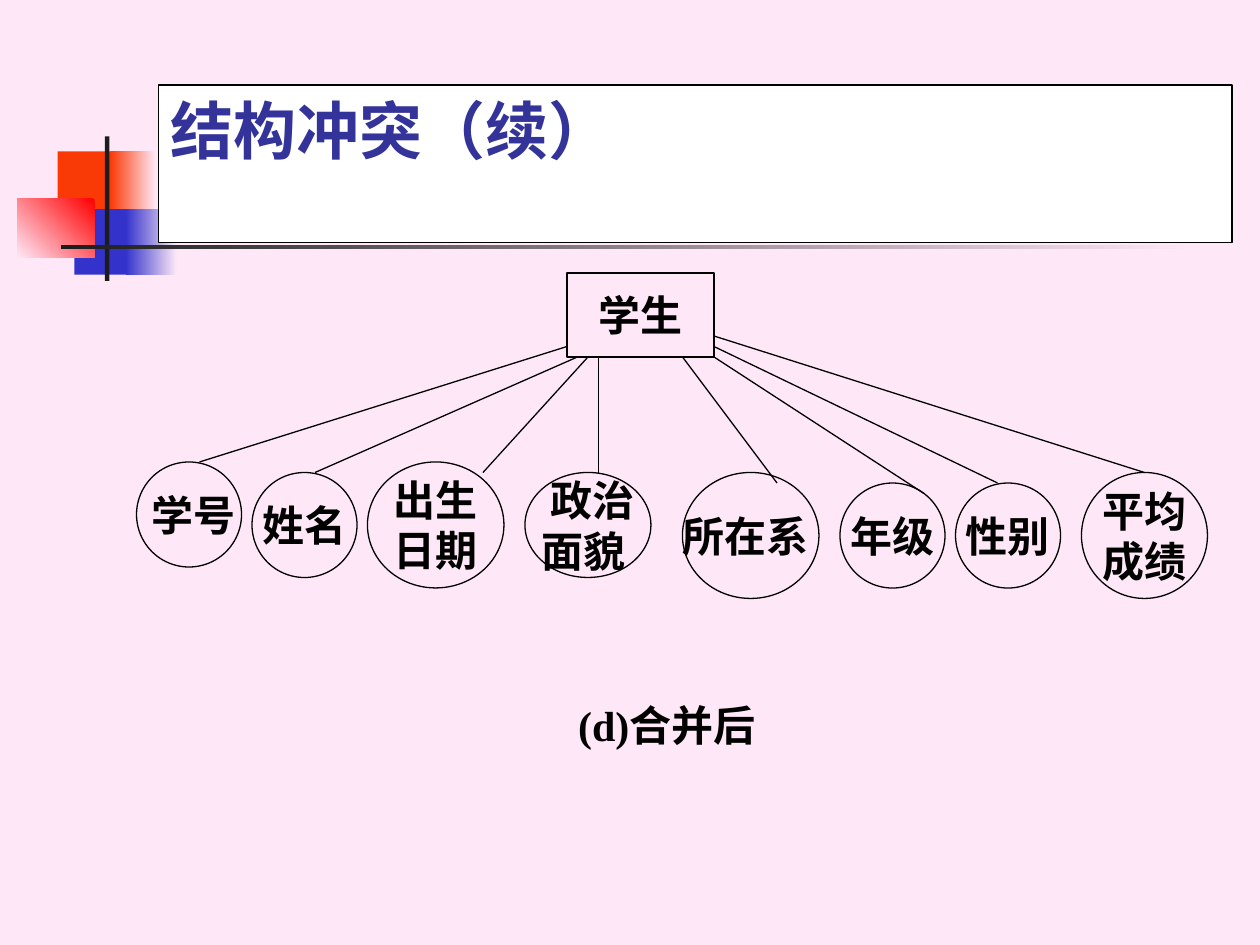
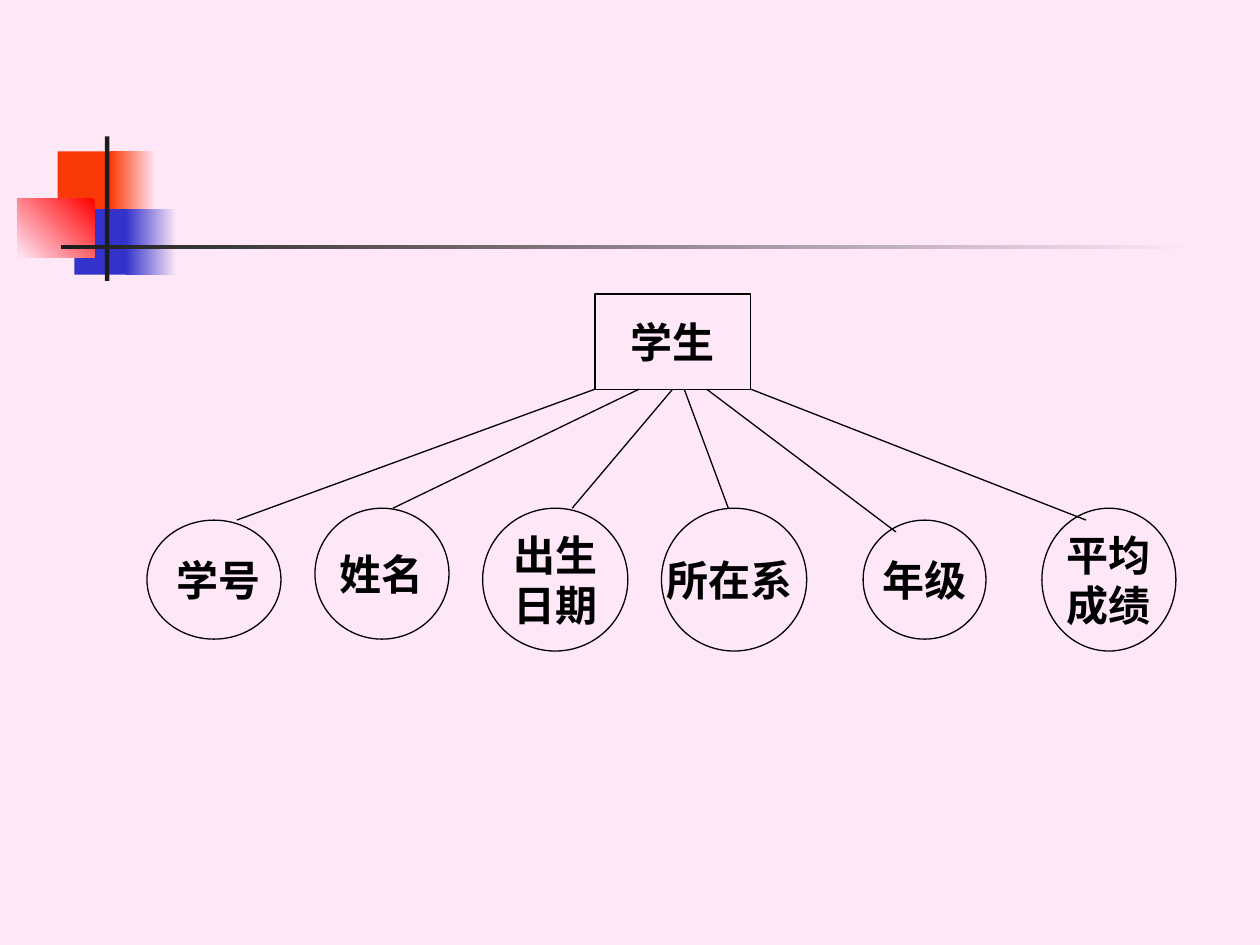
from dataclasses import dataclass

from lxml.etree import SubElement
from pptx import Presentation
from pptx.dml.color import RGBColor
from pptx.enum.shapes import MSO_CONNECTOR, MSO_SHAPE
from pptx.enum.text import MSO_ANCHOR, PP_ALIGN
from pptx.oxml.ns import qn
from pptx.util import Pt


@dataclass(frozen=True)
class Theme:
    background: str = "FEE8F7"
    orange: str = "FA3A06"
    blue: str = "3333CC"
    red: str = "FF0000"
    charcoal: str = "1C1C1C"
    ink: str = "000000"
    white: str = "FFFFFF"
    title_color: str = "333399"
    title_font: str = "Roboto"
    body_font: str = "Times New Roman"
    title_size: float = 36
    body_size: float = 24
    line_width: float = 0.75


THEME = Theme()

# Each attribute: lines of its label, (left, top, width, height) of its ellipse,
# and the two ends of the line that ties it to the entity.
MERGED_ENTITY = (324, 156, 84, 48)
MERGED_ATTRIBUTES = [
    ([" 学号"], (78, 264, 60, 60), (324, 198), (114, 264)),
    (["姓名"], (144, 270, 60, 60), (330, 204), (180, 270)),
    (["出生", "日期"], (210, 264, 78, 72), (336, 204), (276, 270)),
    ([" 政治", "面貌 "], (300, 270, 72, 60), (342, 204), (342, 270)),
    (["所在系 "], (390, 270, 78, 72), (390, 204), (444, 276)),
    (["年级"], (480, 276, 60, 60), (408, 204), (528, 282)),
    (["性别"], (546, 276, 60, 60), (408, 198), (570, 276)),
    (["平均", "成绩"], (618, 270, 72, 72), (408, 192), (654, 270)),
]

STUDENT_ENTITY = (340, 168, 89, 54.4)
STUDENT_ATTRIBUTES = [
    ([" 学号"], (84, 297.2, 76.6, 68), (340, 222.4), (135.3, 297.2)),
    (["姓名"], (180, 290.4, 76.6, 74.8), (365.2, 222.4), (224.6, 290.4)),
    (["出生", "日期"], (275.8, 290.4, 83, 81.6), (384.4, 222.4), (327, 290.4)),
    (["所在系 "], (378, 290.4, 83, 81.6), (391, 222.4), (416.2, 290.4)),
    (["年级"], (493.2, 297.2, 70.2, 68), (403.8, 222.4), (512, 304)),
    (["平均", "成绩"], (595.4, 290.4, 76.6, 81.6), (429, 222.4), (620.6, 297.2)),
]


def color(code):
    return RGBColor.from_string(code)


def add_outline(page, kind, bounds):
    """Add an unfilled, unlined, shadowless shape."""
    shape = page.shapes.add_shape(kind, *map(Pt, bounds))
    shape.shadow.inherit = False
    shape.fill.background()
    shape.line.fill.background()
    return shape


def draw_border(shape):
    shape.line.color.rgb = color(THEME.ink)
    shape.line.width = Pt(THEME.line_width)


def add_block(page, bounds, start, end=None, angle=0):
    """Add a plain rectangle, or a gradient one when an end colour is given."""
    block = add_outline(page, MSO_SHAPE.RECTANGLE, bounds)
    if end is None:
        block.fill.solid()
        block.fill.fore_color.rgb = color(start)
        return block
    block.fill.gradient()
    block.fill.gradient_angle = angle
    for stop, code in zip(block.fill.gradient_stops, (start, end)):
        stop.color.rgb = color(code)
    return block


def add_span(para, text, font, size, code):
    span = para.add_run()
    span.text = text
    span.font.name = font
    span.font.size = Pt(size)
    span.font.bold = True
    span.font.color.rgb = color(code)


def write_label(box, lines):
    """Write centred, unwrapped body lines in the middle of a box."""
    frame = box.text_frame
    frame.word_wrap = False
    frame.vertical_anchor = MSO_ANCHOR.MIDDLE
    for index, line in enumerate(lines):
        para = frame.add_paragraph() if index else frame.paragraphs[0]
        para.alignment = PP_ALIGN.CENTER
        add_span(para, line, THEME.body_font, THEME.body_size, THEME.ink)


def add_node(page, kind, bounds, lines):
    node = add_outline(page, kind, bounds)
    draw_border(node)
    write_label(node, lines)


def add_link(page, start, end):
    link = page.shapes.add_connector(MSO_CONNECTOR.STRAIGHT, *map(Pt, start + end))
    draw_border(link)
    SubElement(link._element.spPr, qn("a:effectLst"))


def add_entity_diagram(page, entity_bounds, attributes):
    add_node(page, MSO_SHAPE.RECTANGLE, entity_bounds, ["学生"])
    for lines, bounds, start, end in attributes:
        add_node(page, MSO_SHAPE.OVAL, bounds, lines)
        add_link(page, start, end)


def add_title(page, text):
    box = add_block(page, (90.5, 48.5, 613.5, 90), THEME.white)
    draw_border(box)
    frame = box.text_frame
    frame.word_wrap = True
    frame.vertical_anchor = MSO_ANCHOR.TOP
    para = frame.paragraphs[0]
    para.alignment = PP_ALIGN.LEFT
    add_span(para, text, THEME.title_font, THEME.title_size, THEME.title_color)


def add_caption(page, text):
    box = page.shapes.add_textbox(Pt(264), Pt(390), Pt(234), Pt(48))
    write_label(box, [text])


def add_page(deck):
    """Add a slide with the shared background and corner ornament."""
    page = deck.slides.add_slide(deck.slide_layouts[6])
    page.background.fill.solid()
    page.background.fill.fore_color.rgb = color(THEME.background)
    add_block(page, (33, 86.5, 34.5, 37.5), THEME.orange)
    add_block(page, (63, 86.5, 26, 37.5), THEME.orange, THEME.background)
    add_block(page, (42.5, 119.5, 33.5, 37.5), THEME.blue)
    add_block(page, (72, 119.5, 29, 37.5), THEME.blue, THEME.background)
    add_block(page, (10, 113.5, 44, 33.5), THEME.red, THEME.background, 225)
    add_block(page, (60, 78, 2.5, 82.5), THEME.charcoal)
    add_block(page, (34.75, 140, 648, 2.5), THEME.charcoal, THEME.background)
    return page


def main():
    deck = Presentation()
    deck.slide_width, deck.slide_height = Pt(720), Pt(540)

    merged = add_page(deck)
    add_title(merged, "结构冲突（续）")
    add_entity_diagram(merged, MERGED_ENTITY, MERGED_ATTRIBUTES)
    add_caption(merged, "(d)合并后")

    student = add_page(deck)
    add_entity_diagram(student, STUDENT_ENTITY, STUDENT_ATTRIBUTES)

    deck.save("out.pptx")


if __name__ == "__main__":
    main()
